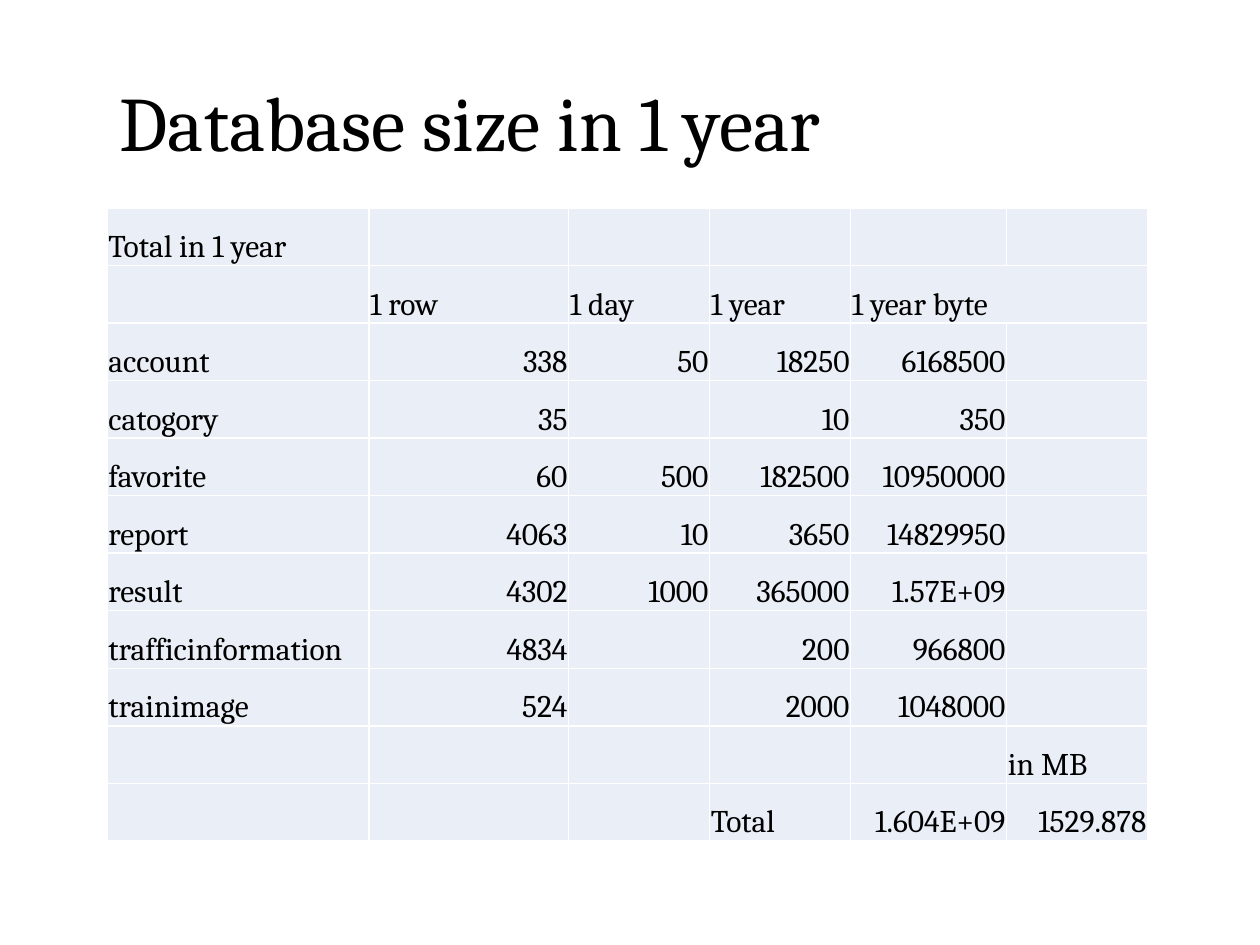
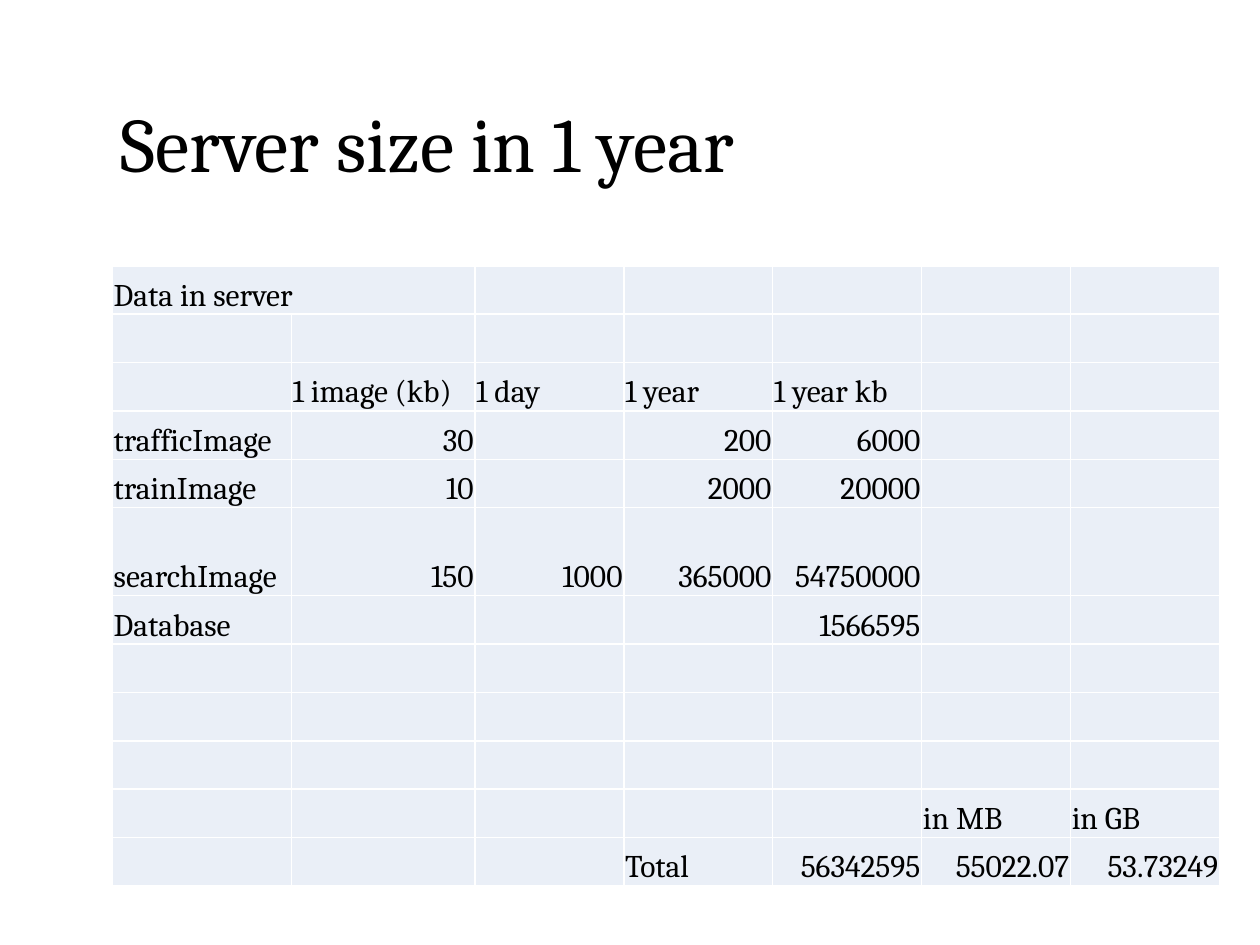
from lxml import etree
from pptx import Presentation
from pptx.dml.color import RGBColor
from pptx.enum import text as txt
from pptx.oxml.ns import qn
from pptx.util import Pt

# Shared look
BLACK = RGBColor(0x00, 0x00, 0x00)
WHITE = RGBColor(0xFF, 0xFF, 0xFF)
PALE_BLUE = RGBColor(0xEA, 0xEF, 0xF7)
FONT = "Cambria"
TITLE_SIZE, CELL_SIZE = 44, 18
CELL_INSET = 0.72
TITLE_ONLY = 5

# Content: short rows are filled up with empty cells
DATABASE_ROWS = [
    ["Total in 1 year"],
    ["", "1 row", "1 day", "1 year", "1 year byte"],
    ["account", "338", "50", "18250", "6168500"],
    ["catogory", "35", "", "10", "350"],
    ["favorite", "60", "500", "182500", "10950000"],
    ["report", "4063", "10", "3650", "14829950"],
    ["result", "4302", "1000", "365000", "1.57E+09"],
    ["trafficinformation", "4834", "", "200", "966800"],
    ["trainimage", "524", "", "2000", "1048000"],
    ["", "", "", "", "", "in MB"],
    ["", "", "", "Total", "1.604E+09", "1529.878"],
]
SERVER_ROWS = [
    ["Data in server"],
    [],
    ["", "1 image (kb)", "1 day", "1 year", "1 year kb"],
    ["trafficImage", "30", "", "200", "6000"],
    ["trainImage", "10", "", "2000", "20000"],
    ["searchImage", "150", "1000", "365000", "54750000"],
    ["Database", "", "", "", "1566595"],
    [],
    [],
    [],
    ["", "", "", "", "", "in MB", "in GB"],
    ["", "", "", "Total", "56342595", "55022.07", "53.73249"],
]
SLIDES = [
    dict(title="Database size in 1 year", title_box=(61.2, 38.9, 522.7, 60.5),
         anchor=txt.MSO_ANCHOR.TOP, line_spacing=1.0,
         rows=DATABASE_ROWS, corner=(61.2, 118.8),
         widths=[149.6, 114.2, 80.6, 80.6, 89.1, 80.6],
         row_height=32.9, tall_rows={}, merged=((1, 4), (1, 5))),
    dict(title="Server size in 1 year", title_box=(61.9, 32.4, 620.6, 104.4),
         anchor=txt.MSO_ANCHOR.MIDDLE, line_spacing=0.9,
         rows=SERVER_ROWS, corner=(64.3, 151.9),
         widths=[102.2, 104.9] + [85.1] * 5,
         row_height=27.65, tall_rows={5: 50.3}, merged=((0, 0), (0, 1))),
]


def is_number(value):
    try:
        float(value)
        return True
    except ValueError:
        return False


def style_font(font, size):
    font.name, font.size, font.bold = FONT, Pt(size), False
    font.color.rgb = BLACK


def add_title(slide, content):
    title = slide.shapes.title
    title.left, title.top, title.width, title.height = map(Pt, content["title_box"])
    frame = title.text_frame
    frame.text = content["title"]
    frame.word_wrap = True
    frame.auto_size = txt.MSO_AUTO_SIZE.NONE
    frame.vertical_anchor = content["anchor"]
    line = frame.paragraphs[0]
    line.alignment = txt.PP_ALIGN.LEFT
    line.line_spacing = content["line_spacing"]
    style_font(line.runs[0].font, TITLE_SIZE)


def add_borders(cell):
    properties = cell._tc.get_or_add_tcPr()
    for side in ("a:lnL", "a:lnR", "a:lnT", "a:lnB"):
        border = etree.SubElement(properties, qn(side), w=str(Pt(1)))
        fill = etree.SubElement(border, qn("a:solidFill"))
        etree.SubElement(fill, qn("a:srgbClr"), val=str(WHITE))


def style_cell(cell, value):
    add_borders(cell)
    cell.fill.solid()
    cell.fill.fore_color.rgb = PALE_BLUE
    cell.margin_left = cell.margin_right = cell.margin_top = Pt(CELL_INSET)
    cell.margin_bottom = 0
    cell.vertical_anchor = txt.MSO_ANCHOR.BOTTOM
    if value:
        cell.text_frame.text = value
        line = cell.text_frame.paragraphs[0]
        line.alignment = txt.PP_ALIGN.RIGHT if is_number(value) else txt.PP_ALIGN.LEFT
        style_font(line.runs[0].font, CELL_SIZE)


def add_size_table(slide, content):
    rows, widths = content["rows"], content["widths"]
    heights = [content["tall_rows"].get(i, content["row_height"]) for i in range(len(rows))]
    left, top = content["corner"]
    table = slide.shapes.add_table(len(rows), len(widths), Pt(left), Pt(top),
                                   Pt(sum(widths)), Pt(sum(heights))).table
    table.first_row = table.horz_banding = False
    for column, width in zip(table.columns, widths):
        column.width = Pt(width)
    for row, height, values in zip(table.rows, heights, rows):
        row.height = Pt(height)
        padded = values + [""] * (len(widths) - len(values))
        for cell, value in zip(row.cells, padded):
            style_cell(cell, value)
    start, end = content["merged"]
    table.cell(*start).merge(table.cell(*end))


# Build the slides
deck = Presentation()
deck.slide_width, deck.slide_height = Pt(720), Pt(540)
for content in SLIDES:
    slide = deck.slides.add_slide(deck.slide_layouts[TITLE_ONLY])
    add_title(slide, content)
    add_size_table(slide, content)
deck.save("out.pptx")
